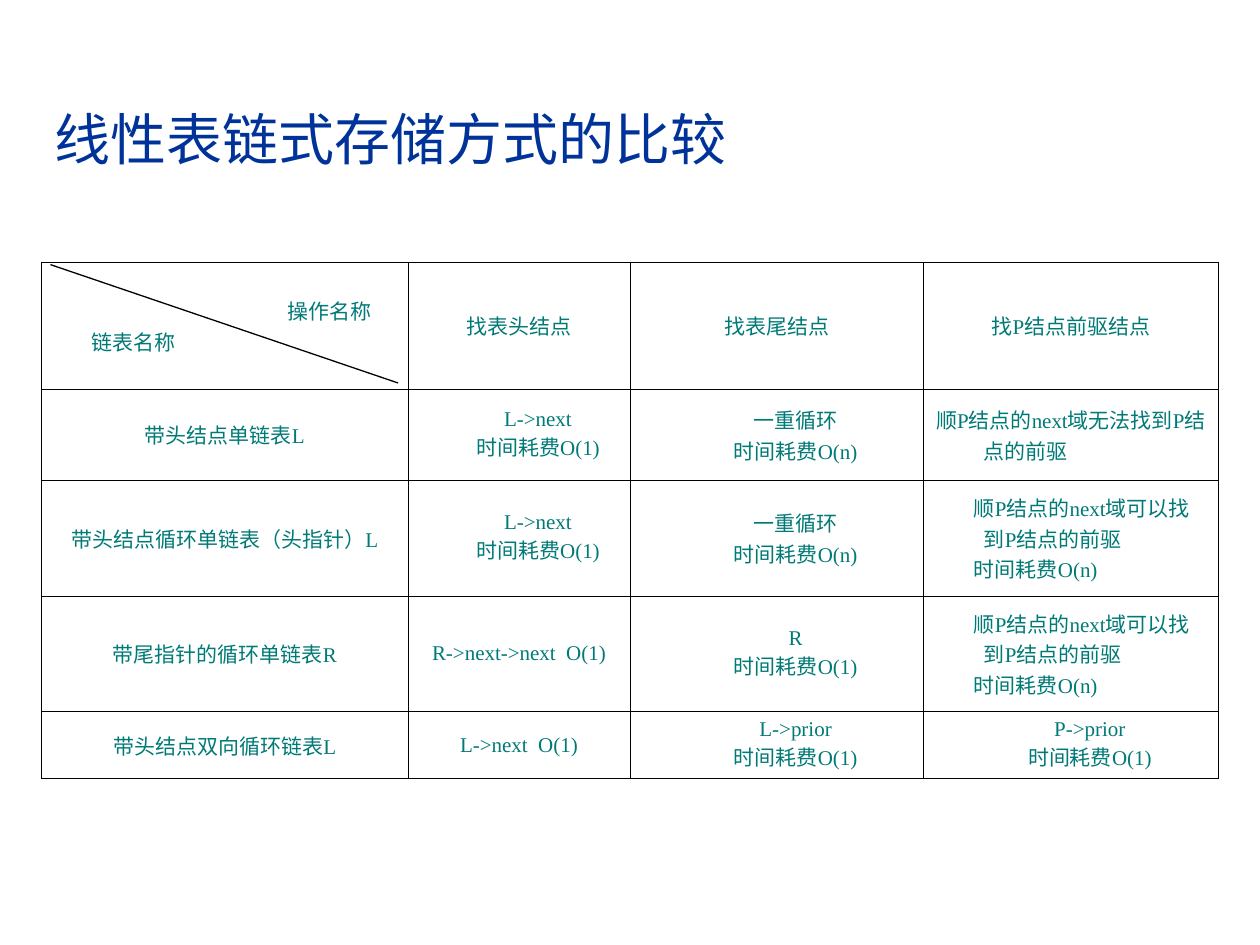
"""Build a slide comparing the linked storage schemes of linear lists."""
from dataclasses import dataclass

from lxml import etree
from pptx import Presentation
from pptx.dml.color import RGBColor
from pptx.enum import lang, shapes, text
from pptx.oxml import ns
from pptx.util import Inches, Pt


@dataclass(frozen=True)
class Theme:
    title_color: RGBColor = RGBColor.from_string("003399")
    cell_color: RGBColor = RGBColor.from_string("007A77")
    line_color: RGBColor = RGBColor.from_string("000000")
    title_font: str = "Arial"
    cell_font: str = "Times New Roman"
    title_size: int = 32
    cell_size: int = 12
    border_width: float = 0.45
    diagonal_width: float = 0.75


@dataclass(frozen=True)
class Entry:
    lines: tuple[str, ...]
    first_indents: tuple[float, ...]
    align: text.PP_ALIGN = text.PP_ALIGN.CENTER


THEME = Theme()
MARGIN = 0.38
HANGING = -0.38
SLIGHT = -0.08
LEFT = text.PP_ALIGN.LEFT


def single(line: str, align: text.PP_ALIGN = text.PP_ALIGN.CENTER) -> Entry:
    """Describe a one-line entry with a full hanging indent."""
    return Entry((line,), (HANGING,), align)


def timed(answer: str, cost: str, align: text.PP_ALIGN = text.PP_ALIGN.CENTER) -> Entry:
    """Describe an answer followed by its time cost."""
    return Entry((answer, f"时间耗费{cost}"), (SLIGHT, SLIGHT), align)


CORNER = Entry(("操作名称", "链表名称"), (1.47, SLIGHT), LEFT)
HEAD_NEXT = timed("L->next", "O(1)")
TAIL_LOOP = timed("一重循环", "O(n)")
PRIOR_LOOP = timed("顺P结点的next域可以找到P结点的前驱", "O(n)", LEFT)
COLUMN_WIDTHS = (2.91, 1.76, 2.33, 2.34)
ROW_HEIGHTS = (1.01, 0.72, 0.92, 0.92, 0.52)
COMPARISON = (
    (CORNER, single("找表头结点"), single("找表尾结点"), single("找P结点前驱结点")),
    (single("带头结点单链表L"), HEAD_NEXT, TAIL_LOOP,
     single("顺P结点的next域无法找到P结点的前驱", LEFT)),
    (single("带头结点循环单链表（头指针）L"), HEAD_NEXT, TAIL_LOOP, PRIOR_LOOP),
    (single("带尾指针的循环单链表R"), single("R->next->next  O(1)"),
     timed("R", "O(1)"), PRIOR_LOOP),
    (single("带头结点双向循环链表L"), single("L->next  O(1)"),
     timed("L->prior", "O(1)"), timed("P->prior", "O(1)")),
)


def style_font(font, name: str, size: int, color: RGBColor) -> None:
    """Apply a typeface, size and colour."""
    values = {"name": name, "size": Pt(size),
              "language_id": lang.MSO_LANGUAGE_ID.SIMPLIFIED_CHINESE}
    for attribute, value in values.items():
        setattr(font, attribute, value)
    font.color.rgb = color


def add_borders(cell) -> None:
    """Draw a thin line on each side of a cell."""
    properties = cell._tc.get_or_add_tcPr()
    for side in ("a:lnL", "a:lnR", "a:lnT", "a:lnB"):
        border = etree.SubElement(properties, ns.qn(side), w=str(Pt(THEME.border_width)))
        fill = etree.SubElement(border, ns.qn("a:solidFill"))
        etree.SubElement(fill, ns.qn("a:srgbClr"), val=str(THEME.line_color))


def fill_cell(cell, entry: Entry) -> None:
    """Write and format one entry of the comparison."""
    add_borders(cell)
    cell.fill.background()
    cell.vertical_anchor = text.MSO_ANCHOR.MIDDLE
    cell.text = "\n".join(entry.lines)
    for paragraph, indent in zip(cell.text_frame.paragraphs, entry.first_indents):
        paragraph.alignment = entry.align
        properties = paragraph._p.get_or_add_pPr()
        for attribute, length in {"marL": MARGIN, "indent": indent}.items():
            properties.set(attribute, str(Inches(length)))
        for run in paragraph.runs:
            style_font(run.font, THEME.cell_font, THEME.cell_size, THEME.cell_color)


def add_title(slide) -> None:
    """Place and format the slide title."""
    title = slide.shapes.title
    box = {"left": 0.33, "top": 0.67, "width": 9.34, "height": 0.85}
    for attribute, length in box.items():
        setattr(title, attribute, Inches(length))
    frame = title.text_frame
    frame.text = "线性表链式存储方式的比较"
    frame.auto_size = text.MSO_AUTO_SIZE.NONE
    frame.vertical_anchor = text.MSO_ANCHOR.MIDDLE
    heading = frame.paragraphs[0]
    heading.alignment = LEFT
    style_font(heading.runs[0].font, THEME.title_font, THEME.title_size, THEME.title_color)


def add_comparison(slide) -> None:
    """Add the table of list kinds against operations."""
    table = slide.shapes.add_table(
        len(ROW_HEIGHTS), len(COLUMN_WIDTHS), Inches(0.33), Inches(2.08),
        Inches(sum(COLUMN_WIDTHS)), Inches(sum(ROW_HEIGHTS))).table
    table.first_row = table.horz_banding = False
    for column, width in zip(table.columns, COLUMN_WIDTHS):
        column.width = Inches(width)
    for row, height, entries in zip(table.rows, ROW_HEIGHTS, COMPARISON):
        row.height = Inches(height)
        for cell, entry in zip(row.cells, entries):
            fill_cell(cell, entry)


def add_diagonal(slide) -> None:
    """Split the corner cell with a diagonal line."""
    diagonal = slide.shapes.add_connector(
        shapes.MSO_CONNECTOR.STRAIGHT,
        Inches(0.4), Inches(2.1), Inches(3.16), Inches(3.04))
    diagonal.line.color.rgb = THEME.line_color
    diagonal.line.width = Pt(THEME.diagonal_width)
    etree.SubElement(diagonal._element.spPr, ns.qn("a:effectLst"))


def main() -> None:
    """Create and save the presentation."""
    presentation = Presentation()
    presentation.slide_width, presentation.slide_height = Inches(10), Inches(7.5)
    slide = presentation.slides.add_slide(presentation.slide_layouts[5])
    add_title(slide)
    add_comparison(slide)
    add_diagonal(slide)
    presentation.save("out.pptx")


if __name__ == "__main__":
    main()
